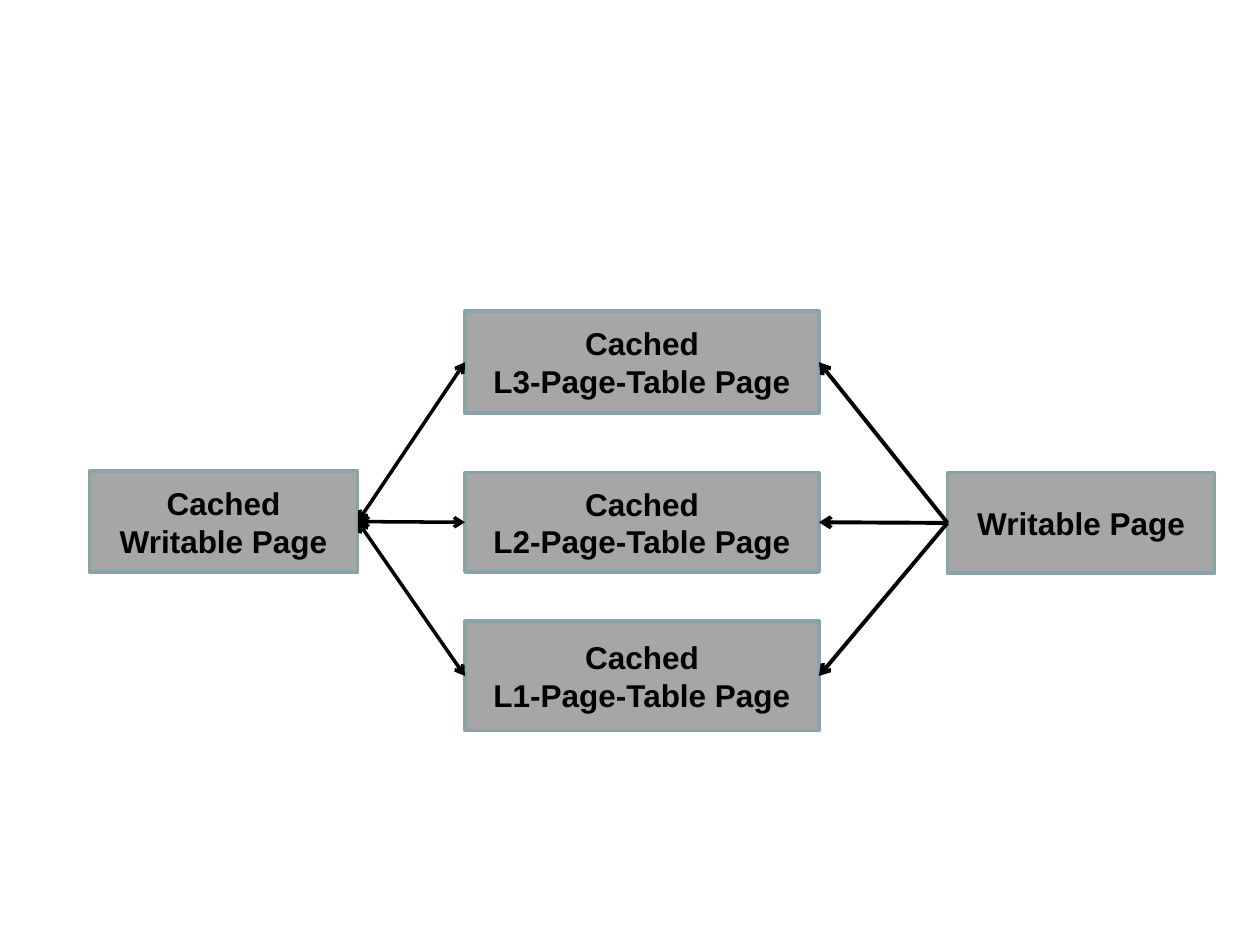
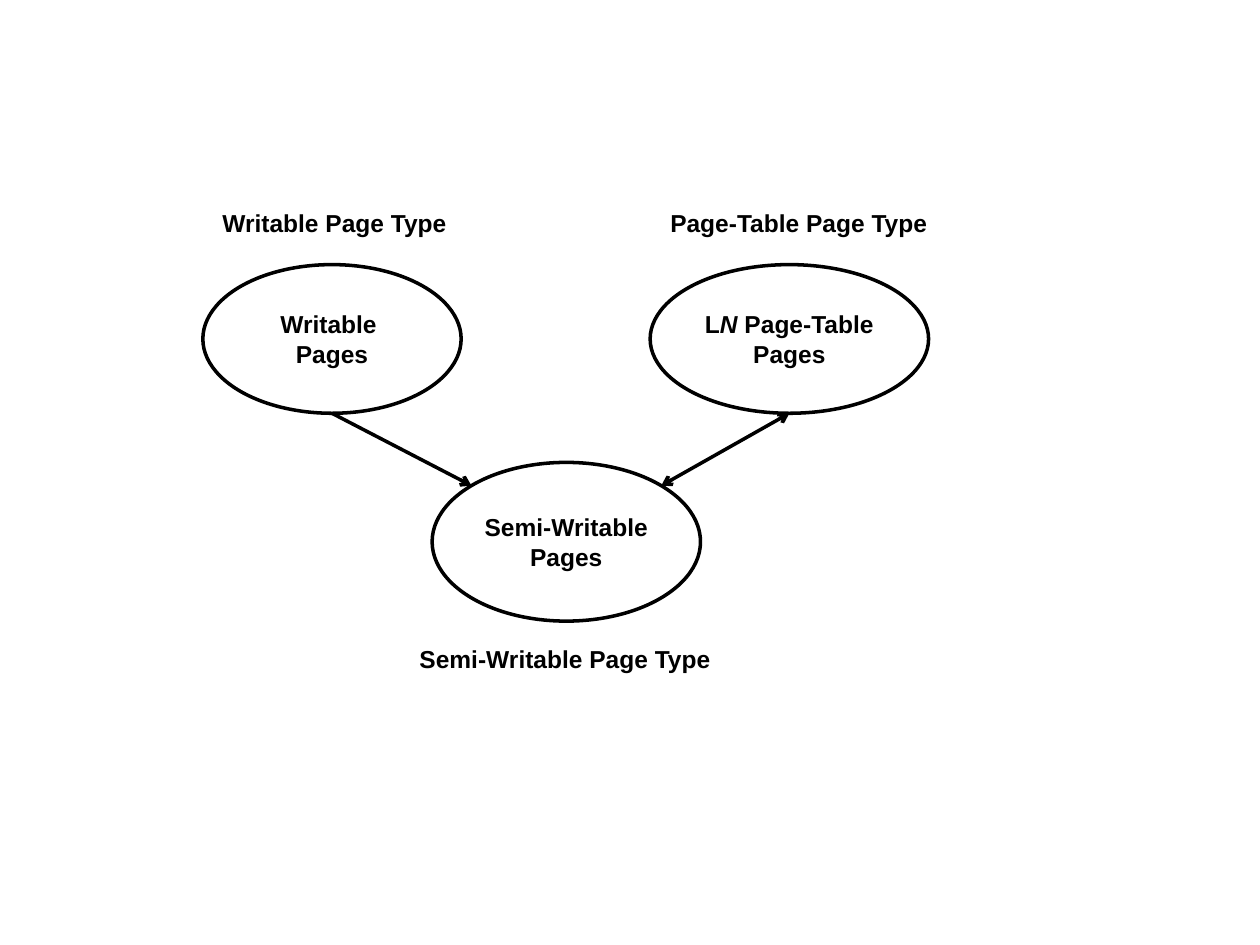
from math import sqrt

from lxml.etree import SubElement
from pptx import Presentation
from pptx.dml.color import RGBColor as RGB
from pptx.enum.shapes import MSO_CONNECTOR as CONNECTOR, MSO_SHAPE as SHAPE
from pptx.enum.text import MSO_ANCHOR as ANCHOR, PP_ALIGN as ALIGN
from pptx.oxml.ns import qn
from pptx.util import Pt

COLORS = {"ink": "000000", "paper": "FFFFFF", "page": "A6A6A6", "edge": "89A4A7"}
SLIDE_SIZE = (720, 540)
FONT = {"name": "Arial", "bold": True}
FRAME = {
    "word_wrap": True, "vertical_anchor": ANCHOR.MIDDLE,
    "margin_left": Pt(7.2), "margin_right": Pt(7.2),
    "margin_top": Pt(3.6), "margin_bottom": Pt(3.6),
}
TOP, LEFT, BOTTOM, RIGHT = 0, 1, 2, 3


def color(name):
    return RGB.from_string(COLORS[name])


def apply(target, values):
    for attribute, value in values.items():
        setattr(target, attribute, value)


def write(frame, lines, size, **frame_values):
    """Each line is a string, or a list of (text, italic) runs."""
    apply(frame, {**FRAME, **frame_values})
    for number, line in enumerate(lines):
        paragraph = frame.add_paragraph() if number else frame.paragraphs[0]
        paragraph.alignment = ALIGN.CENTER
        runs = [(line, False)] if isinstance(line, str) else line
        for text, italic in runs:
            run = paragraph.add_run()
            run.text = text
            apply(run.font, {**FONT, "size": Pt(size), "italic": italic})
            run.font.color.rgb = color("ink")


def add_node(slide, kind, box, lines, size, fill, edge):
    node = slide.shapes.add_shape(kind, *map(Pt, box))
    node.shadow.inherit = False
    node.fill.solid()
    node.fill.fore_color.rgb = color(fill)
    node.line.color.rgb = color(edge)
    node.line.width = Pt(2)
    write(node.text_frame, lines, size)
    return node


def add_arrow(slide, start=(0, 0), end=(0, 0), width=2, both=False):
    arrow = slide.shapes.add_connector(CONNECTOR.STRAIGHT, *map(Pt, (*start, *end)))
    arrow.line.color.rgb = color("ink")
    arrow.line.width = Pt(width)
    outline = arrow.line._get_or_add_ln()
    for tip in ("a:headEnd", "a:tailEnd") if both else ("a:tailEnd",):
        SubElement(outline, qn(tip), type="arrow")
    SubElement(arrow._element.spPr, qn("a:effectLst"))
    return arrow


def join(slide, source, source_side, target, target_side, **style):
    arrow = add_arrow(slide, **style)
    arrow.begin_connect(source, source_side)
    arrow.end_connect(target, target_side)


def page_cache_diagram(slide, left, top):
    def page(x, y, width, height, *lines):
        return add_node(slide, SHAPE.RECTANGLE, (left + x, top + y, width, height),
                        lines, 18, "page", "edge")

    # Page at each end
    cached_writable = page(0, 91.44, 153.36, 57.6, "Cached", "Writable Page")
    writable = page(490.32, 92.16, 152.64, 57.6, "Writable Page")

    # Column of page-table levels, joined to both ends
    for level, y, height in ((3, 0, 58.32), (2, 92.16, 56.88), (1, 177.12, 62.64)):
        table_page = page(214.56, y, 202.32, height, "Cached", f"L{level}-Page-Table Page")
        join(slide, writable, LEFT, table_page, RIGHT, width=2.25)
        join(slide, cached_writable, RIGHT, table_page, LEFT, both=True)


def page_type_diagram(slide, left, top):
    def oval(x, y, width, height, *lines):
        return add_node(slide, SHAPE.OVAL, (left + x, top + y, width, height),
                        lines, 14, "paper", "ink")

    def bottom_of(node):
        return node.left.pt + node.width.pt / 2, node.top.pt + node.height.pt

    def shoulder_of(node, side):
        """Point on the oval at 45 degrees; side is -1 for left, 1 for right."""
        half_width, half_height = node.width.pt / 2, node.height.pt / 2
        return (node.left.pt + half_width * (1 + side / sqrt(2)),
                node.top.pt + half_height * (1 - 1 / sqrt(2)))

    # Sets of pages
    writable = oval(33.84, 62.64, 147.6, 84.96, "Writable ", "Pages")
    page_table = oval(289.44, 62.64, 159.12, 84.96,
                      [("L", False), ("N", True), (" Page-Table ", False)], "Pages")
    semi_writable = oval(164.88, 175.68, 153.36, 90.72, "Semi-Writable Pages")

    # Transitions
    add_arrow(slide, bottom_of(writable), shoulder_of(semi_writable, -1))
    add_arrow(slide, shoulder_of(semi_writable, 1), bottom_of(page_table), both=True)

    # Type labels
    for x, y, width, label in (
        (0, 0, 218.16, "Writable Page Type"),
        (244.08, 0, 260.64, "Page-Table Page Type"),
        (131.76, 249.12, 218.16, "Semi-Writable Page Type"),
    ):
        caption = slide.shapes.add_textbox(*map(Pt, (left + x, top + y, width, 56.88)))
        write(caption.text_frame, [label], 14, margin_top=Pt(24.3))


def main():
    deck = Presentation()
    deck.slide_width, deck.slide_height = map(Pt, SLIDE_SIZE)
    blank = deck.slide_layouts[6]
    for draw, origin in (
        (page_cache_diagram, (51.12, 177.84)),
        (page_type_diagram, (82.08, 88.56)),
    ):
        draw(deck.slides.add_slide(blank), *origin)
    deck.save("out.pptx")


if __name__ == "__main__":
    main()
